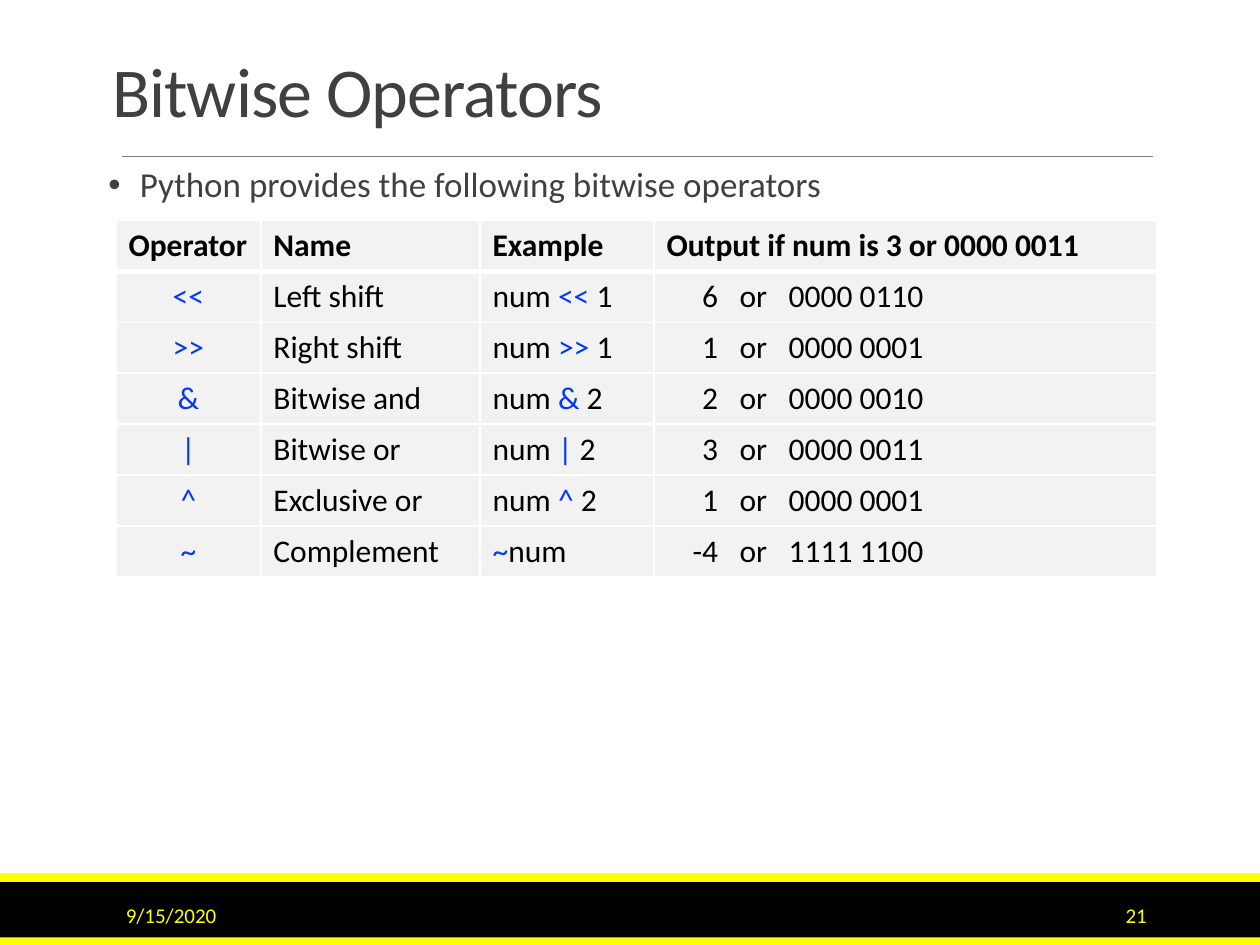
from dataclasses import dataclass

from lxml import etree
from pptx import Presentation
from pptx.dml.color import RGBColor
from pptx.enum import shapes, text
from pptx.oxml import ns
from pptx.util import Inches, Pt

FONT = "Calibri"
COLORS = {
    "black": "000000",
    "yellow": "FFFF00",
    "heading": "404040",
    "rule": "808080",
    "operator": "0337F7",
    "cell": "F2F2F2",
    "border": "FFFFFF",
}


@dataclass(frozen=True)
class Bar:
    top: float
    height: float
    color: str


@dataclass(frozen=True)
class FooterText:
    words: str
    left: float
    width: float
    align: text.PP_ALIGN


@dataclass(frozen=True)
class Operator:
    symbol: str
    name: str
    before: str
    after: str
    result: str
    bits: str


BARS = [
    Bar(7, 0.5, "black"),
    Bar(6.93, 0.07, "yellow"),
    Bar(7.44, 0.07, "yellow"),
]
FOOTERS = [
    FooterText("9/15/2020", 0.9, 2.03, text.PP_ALIGN.LEFT),
    FooterText("21", 8.12, 1.08, text.PP_ALIGN.RIGHT),
]
HEADINGS = ["Operator", "Name", "Example", "Output if num is 3 or 0000 0011"]
COLUMN_WIDTHS = [1.15, 1.74, 1.38, 3.99]
OPERATORS = [
    Operator("<<", "Left shift", "num ", " 1", "6", "0000 0110"),
    Operator(">>", "Right shift", "num ", " 1", "1", "0000 0001"),
    Operator("&", "Bitwise and", "num ", " 2", "2", "0000 0010"),
    Operator("|", "Bitwise or", "num ", " 2", "3", "0000 0011"),
    Operator("^", "Exclusive or", "num ", " 2", "1", "0000 0001"),
    Operator("~", "Complement", "", "num", "-4", "1111 1100"),
]
OUTPUT_TABS = [(0.41, "r"), (0.58, "l"), (0.97, "l")]


def rgb(color: str) -> RGBColor:
    return RGBColor.from_string(COLORS[color])


def add_run(paragraph, words: str, size: float, color: str, bold: bool = False):
    run = paragraph.add_run()
    run.text = words
    run.font.name = FONT
    run.font.size = Pt(size)
    run.font.bold = bold
    run.font.color.rgb = rgb(color)
    return run


def add_child(parent, tag: str, **attributes: str):
    child = etree.SubElement(parent, ns.qn(tag))
    for name, value in attributes.items():
        child.set(name, value)
    return child


def add_bar(slide, bar: Bar) -> None:
    shape = slide.shapes.add_shape(
        shapes.MSO_SHAPE.RECTANGLE,
        0, Inches(bar.top), Inches(10), Inches(bar.height),
    )
    shape.shadow.inherit = False
    shape.fill.solid()
    shape.fill.fore_color.rgb = rgb(bar.color)
    shape.line.fill.background()


def add_title_rule(slide) -> None:
    rule = slide.shapes.add_connector(
        shapes.MSO_CONNECTOR.STRAIGHT,
        Inches(0.97), Inches(1.24), Inches(9.15), Inches(1.24),
    )
    rule.line.color.rgb = rgb("rule")
    rule.line.width = Pt(0.5)
    add_child(rule._element.spPr, "a:effectLst")


def set_title(slide) -> None:
    title = slide.shapes.title
    title.left, title.top = Inches(0.79), Inches(0.31)
    title.width, title.height = Inches(8.36), Inches(0.79)
    frame = title.text_frame
    frame.auto_size = text.MSO_AUTO_SIZE.NONE
    frame.vertical_anchor = text.MSO_ANCHOR.BOTTOM
    paragraph = frame.paragraphs[0]
    paragraph.alignment = text.PP_ALIGN.LEFT
    paragraph.line_spacing = 0.85
    run = add_run(paragraph, "Bitwise Operators", 40, "heading")
    run.font._element.set("spc", "-50")


def add_intro(slide) -> None:
    intro = slide.shapes.add_textbox(
        Inches(0.86), Inches(1.28), Inches(8.4), Inches(0.45)
    )
    frame = intro.text_frame
    frame.word_wrap = True
    frame.margin_left = frame.margin_right = 0
    paragraph = frame.paragraphs[0]
    properties = paragraph._p.get_or_add_pPr()
    properties.set("marL", str(Inches(0.25)))
    properties.set("indent", str(Inches(-0.25)))
    add_child(properties, "a:buFont", typeface="Arial")
    add_child(properties, "a:buChar", char="•")
    paragraph.line_spacing = 0.9
    paragraph.space_after = Pt(2)
    add_run(paragraph, "Python provides the following bitwise operators", 20, "heading")


def add_footer(slide, footer: FooterText) -> None:
    box = slide.shapes.add_textbox(
        Inches(footer.left), Inches(7.06), Inches(footer.width), Inches(0.4)
    )
    frame = box.text_frame
    frame.word_wrap = True
    frame.vertical_anchor = text.MSO_ANCHOR.MIDDLE
    paragraph = frame.paragraphs[0]
    paragraph.alignment = footer.align
    add_run(paragraph, footer.words, 12, "yellow")


def style_cell(cell, row: int) -> None:
    """Fill the cell and give it white borders, thick below the heading row."""
    properties = cell._tc.get_or_add_tcPr()
    widths = {"L": 1, "R": 1, "T": 3 if row == 1 else 1, "B": 3 if row == 0 else 1}
    for side, width in widths.items():
        line = add_child(properties, f"a:ln{side}", w=str(Pt(width)))
        add_child(add_child(line, "a:solidFill"), "a:srgbClr", val=COLORS["border"])
    cell.fill.solid()
    cell.fill.fore_color.rgb = rgb("cell")


def write_heading(cell, heading: str) -> None:
    cell.margin_right = Inches(0.05)
    add_run(cell.text_frame.paragraphs[0], heading, 18, "black", bold=True)


def write_operator(cells, operator: Operator) -> None:
    symbol, name, example, output = (cell.text_frame.paragraphs[0] for cell in cells)
    symbol.alignment = text.PP_ALIGN.CENTER
    add_run(symbol, operator.symbol, 18, "operator")
    add_run(name, operator.name, 18, "black")
    if operator.before:
        add_run(example, operator.before, 18, "black")
    add_run(example, operator.symbol, 18, "operator")
    add_run(example, operator.after, 18, "black")
    tabs = add_child(output._p.get_or_add_pPr(), "a:tabLst")
    for position, align in OUTPUT_TABS:
        add_child(tabs, "a:tab", pos=str(Inches(position)), algn=align)
    add_run(output, f"\t{operator.result}\tor\t{operator.bits}", 18, "black")


def add_operator_table(slide) -> None:
    table = slide.shapes.add_table(
        len(OPERATORS) + 1, len(HEADINGS),
        Inches(0.92), Inches(1.75), Inches(sum(COLUMN_WIDTHS)), Inches(2.83),
    ).table
    for column, width in zip(table.columns, COLUMN_WIDTHS):
        column.width = Inches(width)
    for index, row in enumerate(table.rows):
        for cell in row.cells:
            style_cell(cell, index)
        if index == 0:
            for cell, heading in zip(row.cells, HEADINGS):
                write_heading(cell, heading)
        else:
            write_operator(row.cells, OPERATORS[index - 1])


def main() -> None:
    deck = Presentation()
    deck.slide_width, deck.slide_height = Inches(10), Inches(7.5)
    slide = deck.slides.add_slide(deck.slide_layouts.get_by_name("Title Only"))
    for bar in BARS:
        add_bar(slide, bar)
    add_title_rule(slide)
    set_title(slide)
    add_intro(slide)
    for footer in FOOTERS:
        add_footer(slide, footer)
    add_operator_table(slide)
    deck.save("out.pptx")


if __name__ == "__main__":
    main()
